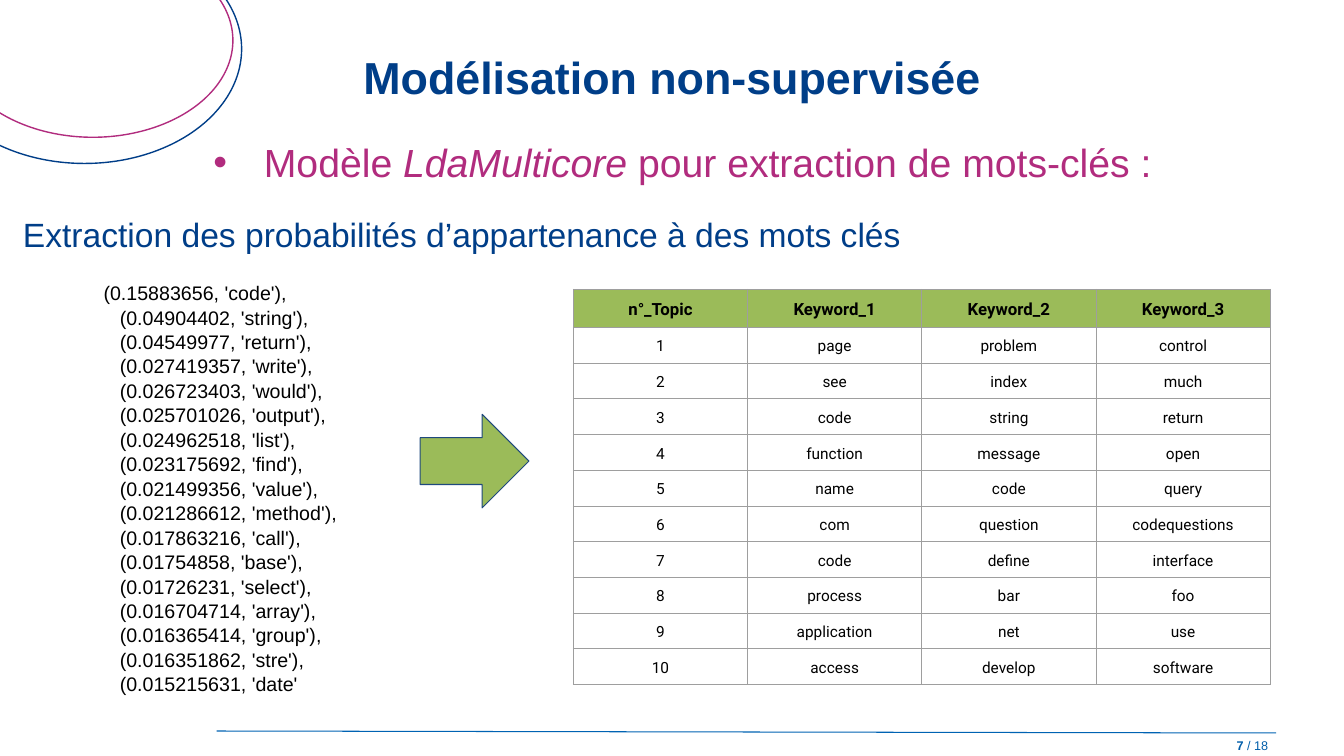
from dataclasses import dataclass

from lxml import etree
from pptx import Presentation
from pptx.dml.color import RGBColor
from pptx.enum.shapes import MSO_CONNECTOR, MSO_SHAPE
from pptx.enum.text import MSO_ANCHOR, MSO_AUTO_SIZE, PP_ALIGN
from pptx.oxml.ns import qn
from pptx.util import Cm, Pt

LEFT, CENTER, RIGHT = PP_ALIGN.LEFT, PP_ALIGN.CENTER, PP_ALIGN.RIGHT
TOP, MIDDLE = MSO_ANCHOR.TOP, MSO_ANCHOR.MIDDLE
NO_AUTOFIT = MSO_AUTO_SIZE.NONE
ELLIPSE, RIGHT_ARROW = MSO_SHAPE.OVAL, MSO_SHAPE.RIGHT_ARROW
STRAIGHT = MSO_CONNECTOR.STRAIGHT


@dataclass(frozen=True)
class Theme:
    navy: str = "003E88"
    magenta: str = "B12C7E"
    rule: str = "0063B3"
    footer: str = "005EAA"
    green: str = "9BBB59"
    outline: str = "1F497D"
    grid: str = "9E9E9E"
    black: str = "000000"
    text_font: str = "Arial"
    table_font: str = "Roboto"
    title_size: int = 32
    bullet_size: int = 28
    subtitle_size: int = 24
    list_size: int = 14
    header_size: int = 12
    cell_size: int = 11
    footer_size: int = 9


def apply_format(target, values):
    for name, value in values.items():
        setattr(target, name, value)


class SlideBuilder:
    def __init__(self, slide, theme):
        self.slide = slide
        self.theme = theme

    def place(self, shape, box):
        names = ("left", "top", "width", "height")
        apply_format(shape, dict(zip(names, map(Cm, box))))

    def fill_paragraph(self, paragraph, runs, size, color, font=None, **formats):
        apply_format(paragraph, formats)
        for text, styles in runs:
            run = paragraph.add_run()
            run.text = text
            values = {"name": font or self.theme.text_font, "size": Pt(size),
                      "bold": False, "italic": False}
            apply_format(run.font, values | styles)
            run.font.color.rgb = RGBColor.from_string(color)

    def set_frame(self, frame, vertical_margin, anchor=TOP):
        apply_format(frame, {
            "word_wrap": True, "auto_size": NO_AUTOFIT, "vertical_anchor": anchor,
            "margin_left": Cm(0.25), "margin_right": Cm(0.25),
            "margin_top": Cm(vertical_margin), "margin_bottom": Cm(vertical_margin),
        })

    def set_line(self, line, color, width):
        line.color.rgb = RGBColor.from_string(color)
        line.width = Pt(width)

    def title(self, text, box):
        shape = self.slide.shapes.title
        self.place(shape, box)
        self.set_frame(shape.text_frame, 0.13, MIDDLE)
        self.fill_paragraph(shape.text_frame.paragraphs[0], [(text, {"bold": True})],
                            self.theme.title_size, self.theme.navy, alignment=CENTER)

    def bullet(self, runs, box):
        shape = self.slide.placeholders[1]
        self.place(shape, box)
        self.set_frame(shape.text_frame, 0.25)
        paragraph = shape.text_frame.paragraphs[0]
        self.fill_paragraph(paragraph, runs, self.theme.bullet_size, self.theme.magenta,
                            alignment=LEFT, space_before=Pt(5.6))
        properties = paragraph._p.get_or_add_pPr()
        properties.set("marL", str(Cm(1.27)))
        properties.set("indent", str(Cm(-1.27)))
        color = etree.SubElement(properties, qn("a:buClr"))
        etree.SubElement(color, qn("a:srgbClr"), val=self.theme.magenta)
        etree.SubElement(properties, qn("a:buFont"), typeface=self.theme.text_font)
        etree.SubElement(properties, qn("a:buChar"), char="•")

    def text(self, paragraphs, box, size, color, vertical_margin=0.25,
             hanging=0, **formats):
        frame = self.slide.shapes.add_textbox(*map(Cm, box)).text_frame
        self.set_frame(frame, vertical_margin)
        for index, runs in enumerate(paragraphs):
            paragraph = frame.add_paragraph() if index else frame.paragraphs[0]
            self.fill_paragraph(paragraph, runs, size, color, **formats)
            if index and hanging:
                paragraph._p.get_or_add_pPr().set("marL", str(Cm(hanging)))

    def shape(self, kind, box, line_color, line_width, fill=None):
        shape = self.slide.shapes.add_shape(kind, *map(Cm, box))
        shape.shadow.inherit = False
        if fill:
            shape.fill.solid()
            shape.fill.fore_color.rgb = RGBColor.from_string(fill)
        else:
            shape.fill.background()
        self.set_line(shape.line, line_color, line_width)

    def line(self, start, end, color, width):
        connector = self.slide.shapes.add_connector(STRAIGHT, *map(Cm, start + end))
        self.set_line(connector.line, color, width)
        etree.SubElement(connector._element.spPr, qn("a:effectLst"))

    def cell_borders(self, cell):
        properties = cell._tc.get_or_add_tcPr()
        for side in ("lnL", "lnR", "lnT", "lnB"):
            border = etree.SubElement(properties, qn(f"a:{side}"), w=str(Pt(0.75)))
            fill = etree.SubElement(border, qn("a:solidFill"))
            etree.SubElement(fill, qn("a:srgbClr"), val=self.theme.grid)

    def table(self, rows, left, top, column_width, header_height, row_height):
        columns = len(rows[0])
        height = header_height + row_height * (len(rows) - 1)
        box = (left, top, column_width * columns, height)
        table = self.slide.shapes.add_table(len(rows), columns, *map(Cm, box)).table
        apply_format(table, {"first_row": False, "horz_banding": False})
        for column in table.columns:
            column.width = Cm(column_width)
        margins = ("margin_left", "margin_right", "margin_top", "margin_bottom")
        for row_index, values in enumerate(rows):
            header = row_index == 0
            table.rows[row_index].height = Cm(header_height if header else row_height)
            size = self.theme.header_size if header else self.theme.cell_size
            for column_index, value in enumerate(values):
                cell = table.cell(row_index, column_index)
                apply_format(cell, dict.fromkeys(margins, Cm(0.18)))
                cell.vertical_anchor = MIDDLE
                self.cell_borders(cell)
                if header:
                    cell.fill.solid()
                    cell.fill.fore_color.rgb = RGBColor.from_string(self.theme.green)
                else:
                    cell.fill.background()
                self.fill_paragraph(cell.text_frame.paragraphs[0],
                                    [(value, {"bold": header})], size,
                                    self.theme.black, self.theme.table_font,
                                    alignment=CENTER, line_spacing=1.15)


PROBABILITIES = [
    ("0.15883656", "code"), ("0.04904402", "string"), ("0.04549977", "return"),
    ("0.027419357", "write"), ("0.026723403", "would"), ("0.025701026", "output"),
    ("0.024962518", "list"), ("0.023175692", "find"), ("0.021499356", "value"),
    ("0.021286612", "method"), ("0.017863216", "call"), ("0.01754858", "base"),
    ("0.01726231", "select"), ("0.016704714", "array"), ("0.016365414", "group"),
    ("0.016351862", "stre"), ("0.015215631", "date"),
]
KEYWORDS = [
    ("page", "problem", "control"), ("see", "index", "much"),
    ("code", "string", "return"), ("function", "message", "open"),
    ("name", "code", "query"), ("com", "question", "codequestions"),
    ("code", "define", "interface"), ("process", "bar", "foo"),
    ("application", "net", "use"), ("access", "develop", "software"),
]

presentation = Presentation()
presentation.slide_width = Cm(33.87)
presentation.slide_height = Cm(19.05)
theme = Theme()
builder = SlideBuilder(presentation.slides.add_slide(presentation.slide_layouts[1]), theme)

builder.shape(ELLIPSE, (-1.19, -1.42, 7.06, 4.88), theme.magenta, 1)
builder.shape(ELLIPSE, (-1.83, -1.65, 7.92, 5.77), theme.navy, 1)
builder.line((5.46, 18.42), (32.16, 18.47), theme.rule, 0.75)
builder.title("Modélisation non-supervisée", (3.99, 0.33, 25.91, 3.18))
builder.text([[("7", {"bold": True}), (" / 18", {})]], (29.24, 18.47, 2.97, 0.58),
             theme.footer_size, theme.footer, vertical_margin=0.13, alignment=RIGHT)

last = len(PROBABILITIES) - 1
probability_lines = [[(f"({probability}, '{word}'" + (")," if index < last else ""), {})]
                     for index, (probability, word) in enumerate(PROBABILITIES)]
builder.text(probability_lines, (2.36, 6.81, 8.33, 10.69), theme.list_size, theme.black,
             hanging=0.41, line_spacing=1.04)
builder.text([[("Extraction des probabilités d’appartenance à des mots clés", {})]],
             (0.33, 5.13, 28.07, 1.55), theme.subtitle_size, theme.navy)
builder.bullet([("Modèle ", {}), ("LdaMulticore ", {"italic": True}),
                ("pour extraction de mots-clés :", {})], (5.13, 3.23, 26.67, 1.7))
builder.shape(RIGHT_ARROW, (10.59, 10.44, 2.74, 2.36), theme.outline, 0.75, theme.green)

header = ("n°_Topic", "Keyword_1", "Keyword_2", "Keyword_3")
topics = [(str(number), *words) for number, words in enumerate(KEYWORDS, 1)]
builder.table([header, *topics], 14.45, 7.29, 4.39, 0.96, 0.9)

presentation.save("out.pptx")
